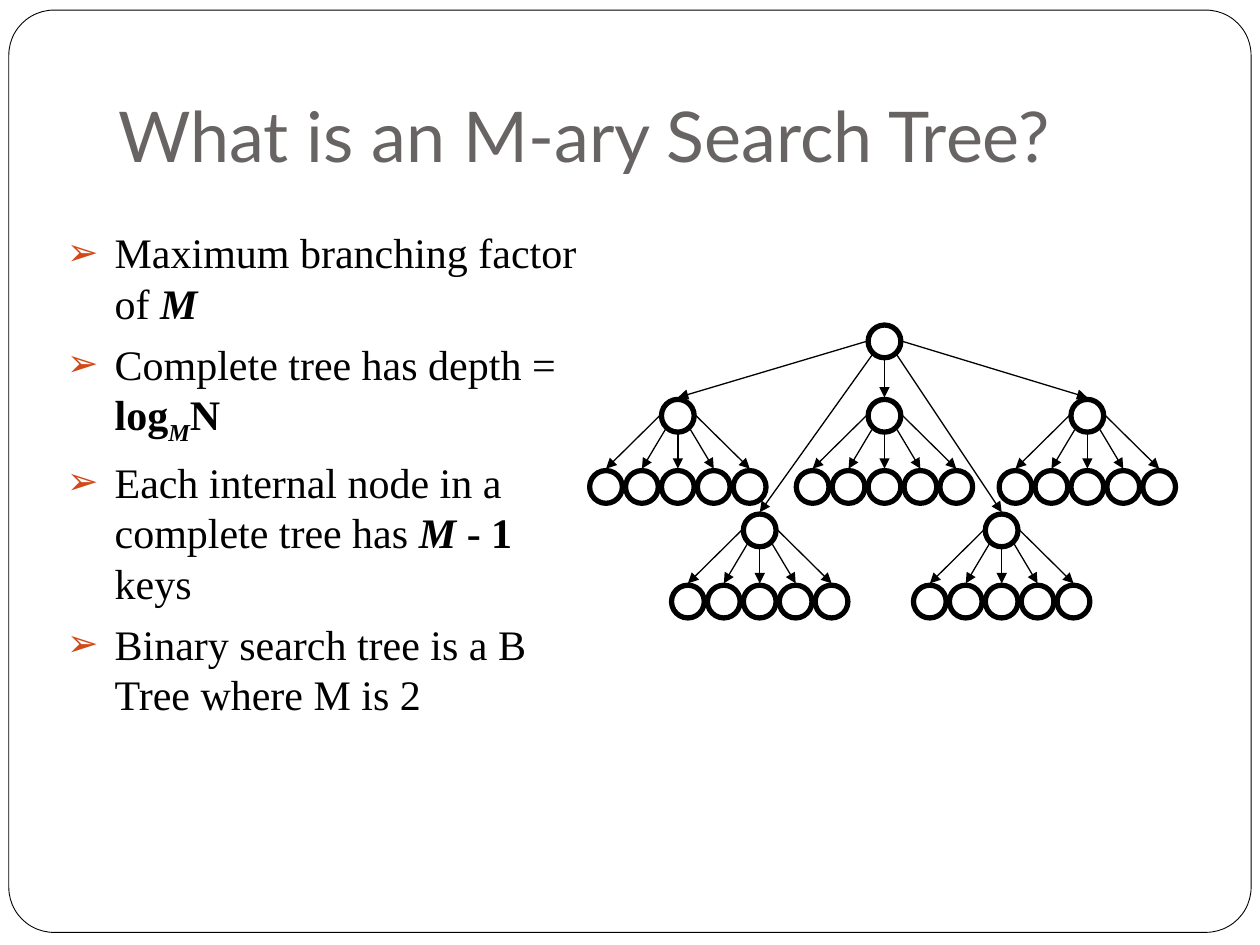
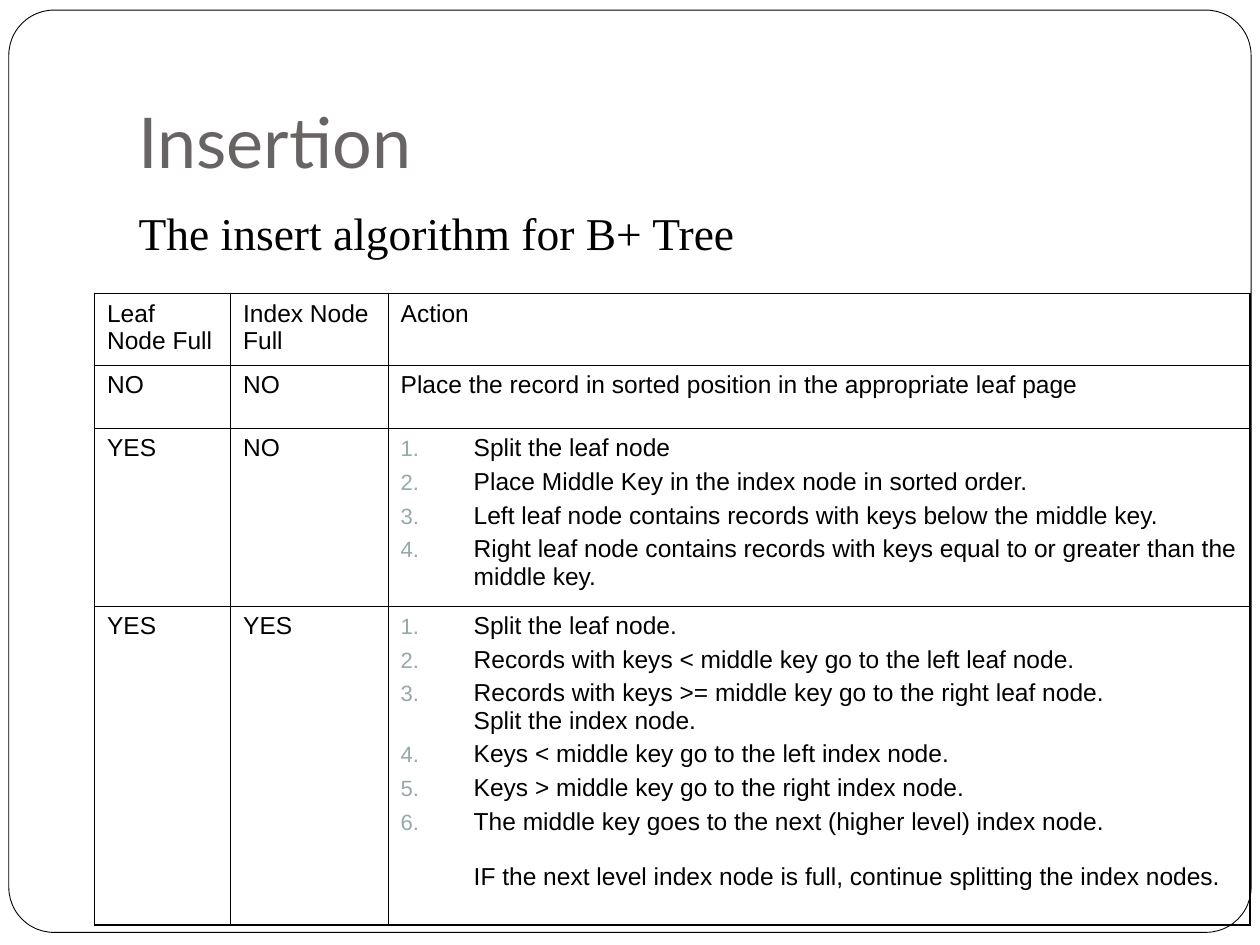
"""Build two slides on M-ary search trees and B+ tree insertion."""
import pptx
import pptx.dml.color
import pptx.enum.shapes
import pptx.enum.text
import pptx.oxml
import pptx.oxml.ns
import pptx.util
from pptx.util import Inches

BLACK, GREY, ORANGE, SAGE = "000000", "696464", "D34817", "96A9A9"
TITLE_FONT, BODY_FONT, TABLE_FONT = "Lato", "Times New Roman", "Arial"

TREE_TITLE = "What is an M-ary Search Tree?"
TREE_POINTS = [
    [("Maximum branching factor of ", {}), ("M", {"bold": True, "italic": True})],
    [("Complete tree has depth = ", {}), ("log", {"bold": True}),
     ("M", {"bold": True, "italic": True, "baseline": -25}), ("N", {"bold": True})],
    [("Each internal node in a complete tree has ", {}),
     ("M ", {"bold": True, "italic": True}), ("- 1", {"bold": True}), (" keys", {})],
    [("Binary search tree is a B Tree where M is 2", {})],
]
ROOT = (7.02, 2.71)
BRANCHES = [(5.38, 3.3), (6.03, 4.21), (7.02, 3.3), (7.95, 4.21), (8.63, 3.3)]
NODE_SIZE, LEAF_STEP, LEAF_DROP, ARROW_GAP = 0.26, 0.285, 0.565, 0.145
ARROW_STARTS = [(-0.145, 0), (-0.1, 0.11), (0, 0.145), (0.1, 0.11), (0.145, 0)]

INSERT_TITLE = "Insertion"
INSERT_SUBTITLE = "The insert algorithm for B+ Tree"
INSERT_ROWS = [
    ("Leaf Node Full", "Index Node Full", "Action"),
    ("NO", "NO", "Place the record in sorted position in the appropriate leaf page"),
    ("YES", "NO", [
        "Split the leaf node",
        "Place Middle Key in the index node in sorted order.",
        "Left leaf node contains records with keys below the middle key.",
        "Right leaf node contains records with keys equal to or greater than the middle key.",
    ]),
    ("YES", "YES", [
        "Split the leaf node.",
        "Records with keys < middle key go to the left leaf node.",
        "Records with keys >= middle key go to the right leaf node.\nSplit the index node.",
        "Keys < middle key go to the left index node.",
        "Keys > middle key go to the right index node.",
        "The middle key goes to the next (higher level) index node.",
    ]),
]
CLOSING_NOTE = "IF the next level index node is full, continue splitting the index nodes."
COLUMN_WIDTHS = [1.08, 1.25, 6.84]
ROW_HEIGHTS = [0.57, 0.5, 1.41, 2.53]
OUTER_LINE, INNER_LINE = 1.08, 0.45


def rgb(code):
    return pptx.dml.color.RGBColor.from_string(code)


def add_xml(parent, tag, position=None, **attributes):
    element = pptx.oxml.parse_xml(f"<a:{tag} {pptx.oxml.ns.nsdecls('a')}/>")
    for name, value in attributes.items():
        element.set(name, str(value))
    parent.insert(len(parent) if position is None else position, element)
    return element


def write(para, text, font=BODY_FONT, size=24, color=BLACK, bold=False, italic=False, baseline=0):
    for index, line in enumerate(text.split("\n")):
        if index:
            para.add_line_break()
        span = para.add_run()
        span.text = line
        span.font.name, span.font.size = font, pptx.util.Pt(size)
        span.font.bold, span.font.italic = bold, italic
        span.font.color.rgb = rgb(color)
        if baseline:
            span.font._element.set("baseline", str(baseline * 1000))


def format_para(para, before=0, left=0, hanging=0, marker=None, marker_color=BLACK):
    properties = para._p.get_or_add_pPr()
    properties.set("marL", str(Inches(left)))
    properties.set("indent", str(-Inches(hanging)))
    if marker:
        add_xml(add_xml(properties, "buClr"), "srgbClr", val=marker_color)
        add_xml(properties, "buSzPct", val=90000)
        if marker == "number":
            add_xml(properties, "buAutoNum", type="arabicPeriod")
        else:
            add_xml(properties, "buChar", char=marker)
    else:
        add_xml(properties, "buNone")
    para.alignment = pptx.enum.text.PP_ALIGN.LEFT
    para.space_before = pptx.util.Pt(before)


def next_para(frame, index):
    return frame.add_paragraph() if index else frame.paragraphs[0]


def place(box, left, top, width, height, anchor):
    box.left, box.top = Inches(left), Inches(top)
    box.width, box.height = Inches(width), Inches(height)
    frame = box.text_frame
    frame.word_wrap = True
    frame.auto_size = pptx.enum.text.MSO_AUTO_SIZE.NONE
    frame.vertical_anchor = anchor
    return frame


def add_page(deck, title, left, top, width, inset):
    page = deck.slides.add_slide(deck.slide_layouts[1])
    frame = place(page.shapes.title, left, top, width, 1.25, pptx.enum.text.MSO_ANCHOR.BOTTOM)
    frame.margin_left, frame.margin_bottom = Inches(inset), Inches(0.1)
    format_para(frame.paragraphs[0])
    write(frame.paragraphs[0], title, font=TITLE_FONT, size=40, color=GREY)
    return page


def move_frame_to_master(deck, page):
    border = page.shapes.add_shape(pptx.enum.shapes.MSO_SHAPE.ROUNDED_RECTANGLE,
                                   Inches(0.07), Inches(0.08), Inches(9.86), Inches(7.32))
    border.adjustments[0] = 0.049
    border.shadow.inherit = False
    border.fill.solid()
    border.fill.fore_color.rgb = rgb("FFFFFF")
    border.line.color.rgb = rgb(BLACK)
    border.line.width = pptx.util.Pt(0.5)
    border.element.nvSpPr.cNvPr.set("id", "100")
    deck.slide_master.shapes.element.insert(2, border.element)


def add_node(shapes, x, y):
    node = shapes.add_shape(pptx.enum.shapes.MSO_SHAPE.OVAL, Inches(x - NODE_SIZE / 2),
                            Inches(y - NODE_SIZE / 2), Inches(NODE_SIZE), Inches(NODE_SIZE))
    node.shadow.inherit = False
    node.fill.background()
    node.line.color.rgb = rgb(BLACK)
    node.line.width = pptx.util.Pt(3)


def add_arrows(shapes, parent, children):
    for (dx, dy), (x, y) in zip(ARROW_STARTS, children):
        arrow = shapes.add_connector(pptx.enum.shapes.MSO_CONNECTOR.STRAIGHT,
                                     Inches(parent[0] + dx), Inches(parent[1] + dy),
                                     Inches(x), Inches(y - ARROW_GAP))
        arrow.line.color.rgb = rgb(BLACK)
        arrow.line.width = pptx.util.Pt(0.75)
        properties = arrow.element.spPr
        add_xml(properties.find(pptx.oxml.ns.qn("a:ln")), "tailEnd", type="triangle")
        add_xml(properties, "effectLst")


def build_tree_page(deck):
    page = add_page(deck, TREE_TITLE, 0.42, 0.25, 9, 0.52)
    move_frame_to_master(deck, page)
    frame = place(page.placeholders[1], 0.43, 1.75, 4.25, 4.5, pptx.enum.text.MSO_ANCHOR.TOP)
    for index, point in enumerate(TREE_POINTS):
        para = next_para(frame, index)
        format_para(para, before=6 if index else 0, left=0.38, hanging=0.38,
                    marker="➢", marker_color=ORANGE)
        for text, style in point:
            write(para, text, **style)
    for x, y in BRANCHES:
        family = page.shapes.add_group_shape().shapes
        leaves = [(x + step * LEAF_STEP, y + LEAF_DROP) for step in range(-2, 3)]
        for center in [(x, y)] + leaves:
            add_node(family, *center)
        add_arrows(family, (x, y), leaves)
    add_node(page.shapes, *ROOT)
    add_arrows(page.shapes, ROOT, BRANCHES)


def draw_borders(cell, row, column):
    outer = {"lnL": column == 0, "lnR": column == len(COLUMN_WIDTHS) - 1,
             "lnT": row == 0, "lnB": row == len(ROW_HEIGHTS) - 1}
    properties = cell._tc.get_or_add_tcPr()
    for position, (side, is_outer) in enumerate(outer.items()):
        width = pptx.util.Pt(OUTER_LINE if is_outer else INNER_LINE)
        line = add_xml(properties, side, position, w=width)
        add_xml(add_xml(line, "solidFill"), "srgbClr", val=BLACK)


def fill_cell(cell, content):
    numbered = isinstance(content, list)
    for index, text in enumerate(content if numbered else [content]):
        para = next_para(cell.text_frame, index)
        if numbered:
            format_para(para, before=3.5 if index else 0, left=0.58, hanging=0.58,
                        marker="number", marker_color=SAGE)
        else:
            format_para(para)
        write(para, text, font=TABLE_FONT, size=14)


def build_insertion_page(deck):
    page = add_page(deck, INSERT_TITLE, 1, 0.3, 8.5, 0.1)
    frame = place(page.placeholders[1], 1, 1.58, 8.5, 5, pptx.enum.text.MSO_ANCHOR.TOP)
    format_para(frame.paragraphs[0])
    write(frame.paragraphs[0], INSERT_SUBTITLE, size=26)

    table = page.shapes.add_table(len(ROW_HEIGHTS), len(COLUMN_WIDTHS), Inches(0.75), Inches(2.33),
                                  Inches(sum(COLUMN_WIDTHS)), Inches(sum(ROW_HEIGHTS))).table
    table.first_row = table.horz_banding = False
    for column, width in zip(table.columns, COLUMN_WIDTHS):
        column.width = Inches(width)
    for row, height in zip(table.rows, ROW_HEIGHTS):
        row.height = Inches(height)
    for row, contents in enumerate(INSERT_ROWS):
        for column, content in enumerate(contents):
            cell = table.cell(row, column)
            cell.fill.background()
            draw_borders(cell, row, column)
            fill_cell(cell, content)
    note = cell.text_frame.add_paragraph()
    format_para(note, before=16, left=0.58)
    write(note, CLOSING_NOTE, font=TABLE_FONT, size=14)


def main():
    deck = pptx.Presentation()
    deck.slide_width, deck.slide_height = Inches(10), Inches(7.5)
    build_tree_page(deck)
    build_insertion_page(deck)
    deck.save("out.pptx")


if __name__ == "__main__":
    main()
